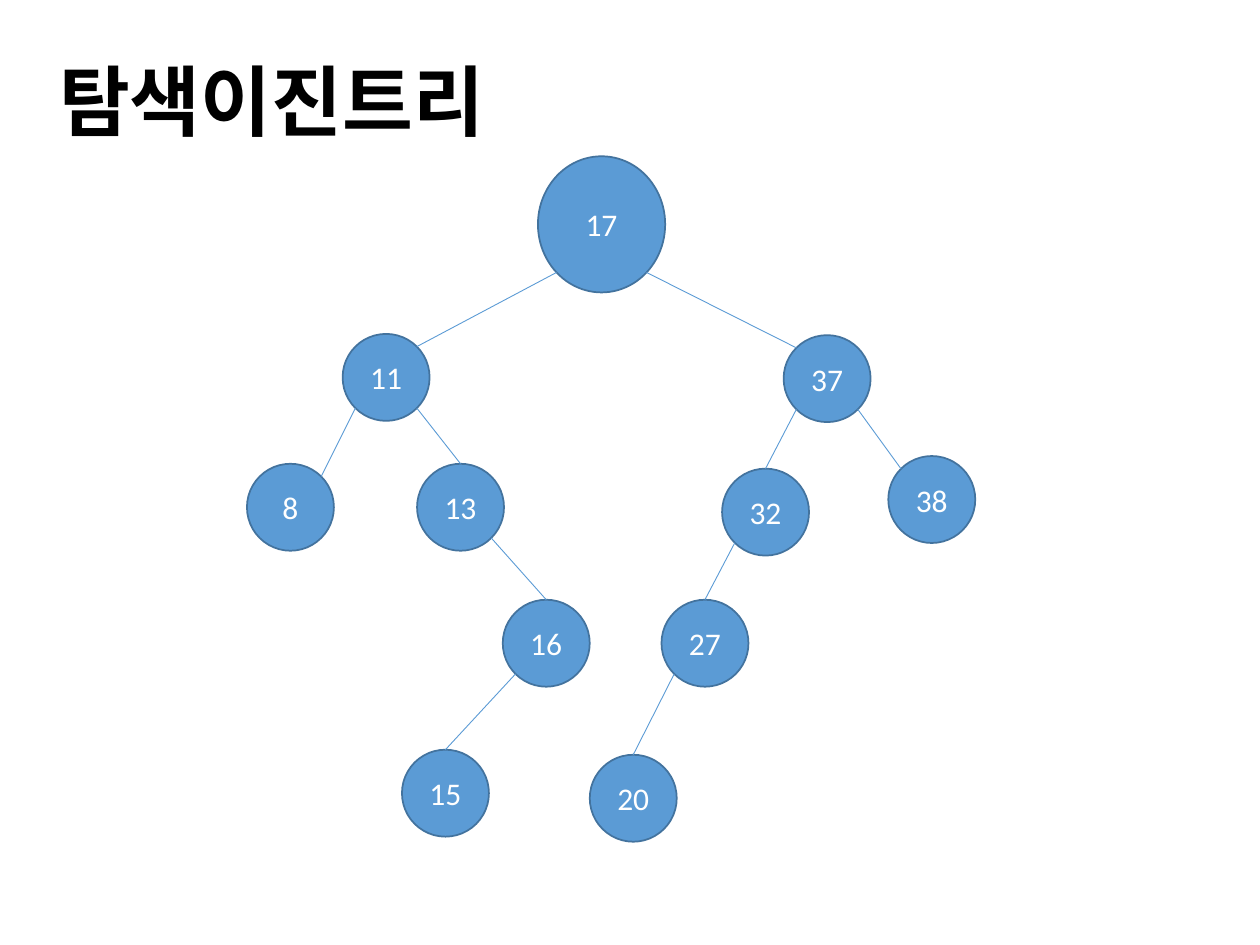
from collections import namedtuple
from dataclasses import dataclass
from math import sqrt

from lxml import etree
from pptx import Presentation
from pptx.dml.color import RGBColor
from pptx.enum import shapes, text
from pptx.oxml import ns
from pptx.util import Pt

Box = namedtuple("Box", "left top width height")
Node = namedtuple("Node", "value x y parent side joint")


@dataclass(frozen=True)
class Theme:
    font: str = "Calibri"
    title_size: float = 44
    node_size: float = 18
    title_color: RGBColor = RGBColor(0, 0, 0)
    node_text: RGBColor = RGBColor(0xFF, 0xFF, 0xFF)
    node_fill: RGBColor = RGBColor(0x5B, 0x9B, 0xD5)
    node_line: RGBColor = RGBColor(0x43, 0x73, 0x9E)
    node_line_width: float = 1
    edge_width: float = 0.5


THEME = Theme()
TITLE_BOX = Box(26.6, 7.9, 620.6, 104.4)
TREE_BOX = Box(141.1, 89.3, 416.2, 391.7)
ROOT_SIZE = (72.7, 77.8)
NODE_SIZE = (49.7, 49.7)

# Joints are (horizontal, vertical) directions from a node's centre
DIAGONAL = 1 / sqrt(2)
TOP = (0, -1)
TOP_LEFT = (-DIAGONAL, -DIAGONAL)
TOP_RIGHT = (DIAGONAL, -DIAGONAL)
CHILD_JOINTS = {
    "left": (-DIAGONAL, DIAGONAL),
    "right": (DIAGONAL, DIAGONAL),
}

# x and y are offsets within the tree box
NODES = [
    Node(17, 166.3, 0, None, None, None),
    Node(11, 54.7, 101.5, 17, "left", TOP_RIGHT),
    Node(37, 306.7, 102.2, 17, "right", TOP_LEFT),
    Node(8, 0, 175.7, 11, "left", TOP_RIGHT),
    Node(13, 97.2, 175.7, 11, "right", TOP),
    Node(32, 271.5, 178.5, 37, "left", TOP),
    Node(38, 366.5, 171.3, 37, "right", TOP_LEFT),
    Node(16, 146.2, 253.4, 13, "right", TOP),
    Node(15, 88.6, 339.1, 16, "left", TOP),
    Node(27, 236.9, 253.4, 32, "left", TOP),
    Node(20, 195.9, 342, 27, "left", TOP),
]


def style_text(paragraph, size, color, alignment, bold=False):
    paragraph.alignment = alignment
    paragraph.font.name = THEME.font
    paragraph.font.size = Pt(size)
    paragraph.font.bold = bold
    paragraph.font.color.rgb = color


def place_title(slide, box, wording):
    title = slide.shapes.title
    title.left, title.top, title.width, title.height = map(Pt, box)
    frame = title.text_frame
    frame.text = wording
    frame.auto_size = text.MSO_AUTO_SIZE.NONE
    frame.vertical_anchor = text.MSO_ANCHOR.MIDDLE
    paragraph = frame.paragraphs[0]
    paragraph.line_spacing = 0.9
    style_text(paragraph, THEME.title_size, THEME.title_color,
               text.PP_ALIGN.LEFT, bold=True)


def add_node(group, box, value):
    shape = group.shapes.add_shape(shapes.MSO_SHAPE.OVAL, *map(Pt, box))
    shape.shadow.inherit = False
    shape.fill.solid()
    shape.fill.fore_color.rgb = THEME.node_fill
    shape.line.color.rgb = THEME.node_line
    shape.line.width = Pt(THEME.node_line_width)
    frame = shape.text_frame
    frame.text = str(value)
    frame.vertical_anchor = text.MSO_ANCHOR.MIDDLE
    style_text(frame.paragraphs[0], THEME.node_size, THEME.node_text,
               text.PP_ALIGN.CENTER)


def joint_point(box, joint):
    return (Pt(box.left + box.width / 2 * (1 + joint[0])),
            Pt(box.top + box.height / 2 * (1 + joint[1])))


def add_edge(group, start, end):
    edge = group.shapes.add_connector(
        shapes.MSO_CONNECTOR.STRAIGHT, *start, *end)
    edge.line.color.rgb = THEME.node_fill
    edge.line.width = Pt(THEME.edge_width)
    properties = edge._element.find(ns.qn("p:spPr"))
    etree.SubElement(properties, ns.qn("a:effectLst"))


def place_tree(slide, box, nodes):
    group = slide.shapes.add_group_shape()
    node_boxes = {}

    # Nodes
    for node in nodes:
        size = NODE_SIZE if node.parent else ROOT_SIZE
        node_box = Box(box.left + node.x, box.top + node.y, *size)
        node_boxes[node.value] = node_box
        add_node(group, node_box, node.value)

    # Edges from each parent to its child
    for node in nodes:
        if node.parent:
            start = joint_point(node_boxes[node.parent],
                                CHILD_JOINTS[node.side])
            end = joint_point(node_boxes[node.value], node.joint)
            add_edge(group, start, end)


def main():
    presentation = Presentation()
    presentation.slide_width, presentation.slide_height = Pt(720), Pt(540)
    slide = presentation.slides.add_slide(presentation.slide_layouts[5])
    place_title(slide, TITLE_BOX, "탐색이진트리")
    place_tree(slide, TREE_BOX, NODES)
    presentation.save("out.pptx")


if __name__ == "__main__":
    main()
